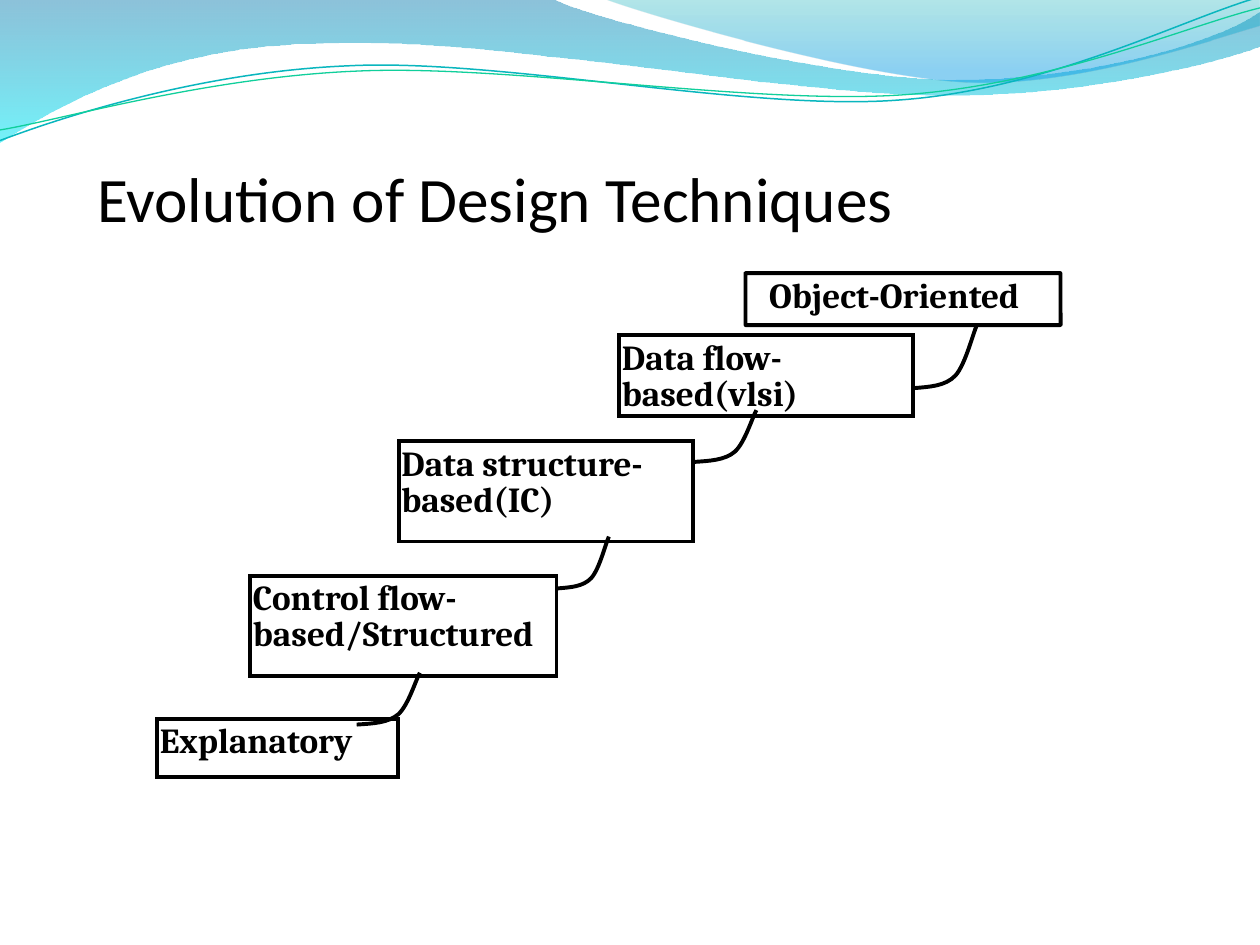
from lxml import etree
from pptx import Presentation
from pptx.dml.color import RGBColor
from pptx.enum import shapes, text
from pptx.oxml import ns
from pptx.util import Pt


def tint(color, code):
    color.rgb = RGBColor.from_string(code)


def trace(start, parts, close=False):
    """Outline from line ends (x, y) and cubic curves (x1, y1, x2, y2, x3, y3)."""
    dots = [(Pt(p[i]), Pt(p[i + 1])) for p in parts for i in range(0, len(p), 2)]
    pen = slide.shapes.build_freeform(Pt(start[0]), Pt(start[1]))
    pen.add_line_segments(dots, close=close)
    shape = pen.convert_to_shape()
    # Join each three points of a curve into one Bezier segment
    steps = iter(list(shape.element.iter(ns.qn("a:lnTo"))))
    for part in parts:
        first = next(steps)
        if len(part) == 6:
            curve = etree.Element(ns.qn("a:cubicBezTo"))
            first.addprevious(curve)
            for step in (first, next(steps), next(steps)):
                curve.append(step[0])
                step.getparent().remove(step)
    shape.shadow.inherit = False
    shape.fill.background()
    return shape


deck = Presentation()
deck.slide_width, deck.slide_height = Pt(717), Pt(538)
slide = deck.slides.add_slide(deck.slide_layouts[5])

# Shaded waves: start, outline, gradient stops (place, colour, alpha)
waves = [
    ((-0.5, 0), [(315.4, -0.5), (341, 12, 476, 45, 544, 45),
                 (612, 45, 687, 27, 717, 6.5), (717.5, 26),
                 (705, 32, 623.5, 55, 535, 54), (446, 54, 273.5, 20, 184, 24.5),
                 (93, 25, 33, 60, -0.5, 81)],
     [(0, "0079AD", 45), (1, "00E9F7", 55)]),
    ((343.5, -0.5), [(365, 8, 489, 44.5, 551.5, 47),
                     (613.5, 49.5, 689, 23, 717, 15), (717, 0)],
     [(0, "00ABB4", 30), (0.8, "0099E4", 45)]),
]
for start, parts, stops in waves:
    wave = trace(start, parts, close=True)
    wave.line.fill.background()
    wave.fill.gradient()
    wave.fill.gradient_angle = 270
    for stop, (place, code, alpha) in zip(wave.fill.gradient_stops, stops):
        stop.position = place
        tint(stop.color, code)
        node = stop._gs.find(ns.qn("a:srgbClr"))
        etree.SubElement(node, ns.qn("a:alpha"), val=str(alpha * 1000))

# Thin wave lines
threads = [
    ((0, 80), [(34.5, 67, 113, 41, 198, 37.5), (283.5, 33, 425, 63.5, 511, 57),
               (597, 51, 672.5, 11, 716, -1.5)], "09B6BE", 0.85),
    ((0, 74), [(34, 68.5, 117.5, 44, 203, 40.5), (288.5, 36.5, 428.5, 60, 514, 54),
               (600, 48, 674.5, 15, 717, 4.5)], "10CF9B", 0.75),
]
for start, parts, code, width in threads:
    thread = trace(start, parts)
    tint(thread.line.color, code)
    thread.line.width = Pt(width)

# Title, in front of the waves
title = slide.shapes.title
thread.element.addnext(title.element)
title.left, title.top, title.width, title.height = Pt(53.8), Pt(47.8), Pt(609), Pt(89.5)
title.text_frame.text = "Evolution of Design Techniques"

# Technique boxes: name, left, top, width, height, framed
boxes = [
    ("Object-Oriented", 436.2, 155.5, 167, 31, False),
    ("Explanatory", 89.5, 409.2, 137, 33.2, True),
    ("Data flow-based(vlsi)", 352.5, 191, 167.2, 45.7, True),
    ("Data structure-based(IC)", 227, 251.3, 167.2, 57, True),
    ("Control flow-based/Structured", 142.5, 327.8, 174.2, 57, True),
]
labels = [(title, "Calibri", 36, text.MSO_ANCHOR.BOTTOM)]
framed = []
for name, x, y, w, h, frame in boxes:
    area = Pt(x), Pt(y), Pt(w), Pt(h)
    if frame:
        box = slide.shapes.add_shape(shapes.MSO_SHAPE.RECTANGLE, *area)
        framed.append(box)
    else:
        box = slide.shapes.add_textbox(*area)
    box.text_frame.text = name
    box.text_frame.paragraphs[0].line_spacing = 0.85
    labels.append((box, "Cambria", 20, text.MSO_ANCHOR.TOP))

for box, face, size, anchor in labels:
    body = box.text_frame
    body.word_wrap = True
    body.auto_size = text.MSO_AUTO_SIZE.NONE
    body.vertical_anchor = anchor
    body.margin_left = body.margin_right = Pt(1.44)
    body.margin_top = body.margin_bottom = Pt(3.6)
    body.paragraphs[0].alignment = text.PP_ALIGN.LEFT
    font = body.paragraphs[0].runs[0].font
    font.name, font.size, font.bold = face, Pt(size), face == "Cambria"
    tint(font.color, "000000")

# Frame of the top step
top = slide.shapes.add_shape(shapes.MSO_SHAPE.ROUNDED_RECTANGLE,
                             Pt(424.2), Pt(155.5), Pt(179.3), Pt(29.6))
top.adjustments[0] = 0.004
framed.append(top)

# Curved links between steps: left, bottom, width, height
links = [(203, 412.5, 36, 29.5), (520, 221, 36, 36),
         (394.5, 263, 36, 29.5), (317, 335, 29.5, 29.5)]
bend = [(0.25, 0.02, 0.5, 0.03, 0.66, 0.2), (0.82, 0.38, 0.94, 0.88, 1, 1)]
for x, y, w, h in links:
    parts = [[x + w * v if i % 2 == 0 else y - h * v for i, v in enumerate(arc)]
             for arc in bend]
    framed.append(trace((x, y), parts))

# Black outlines, with sharp corners on the plain boxes
for item in framed:
    item.shadow.inherit = False
    item.fill.background()
    tint(item.line.color, "000000")
    item.line.width = Pt(2.25)
    if item in framed[:4]:
        edge = item.element.spPr.find(ns.qn("a:ln"))
        etree.SubElement(edge, ns.qn("a:miter"), lim="800000")

deck.save("out.pptx")
